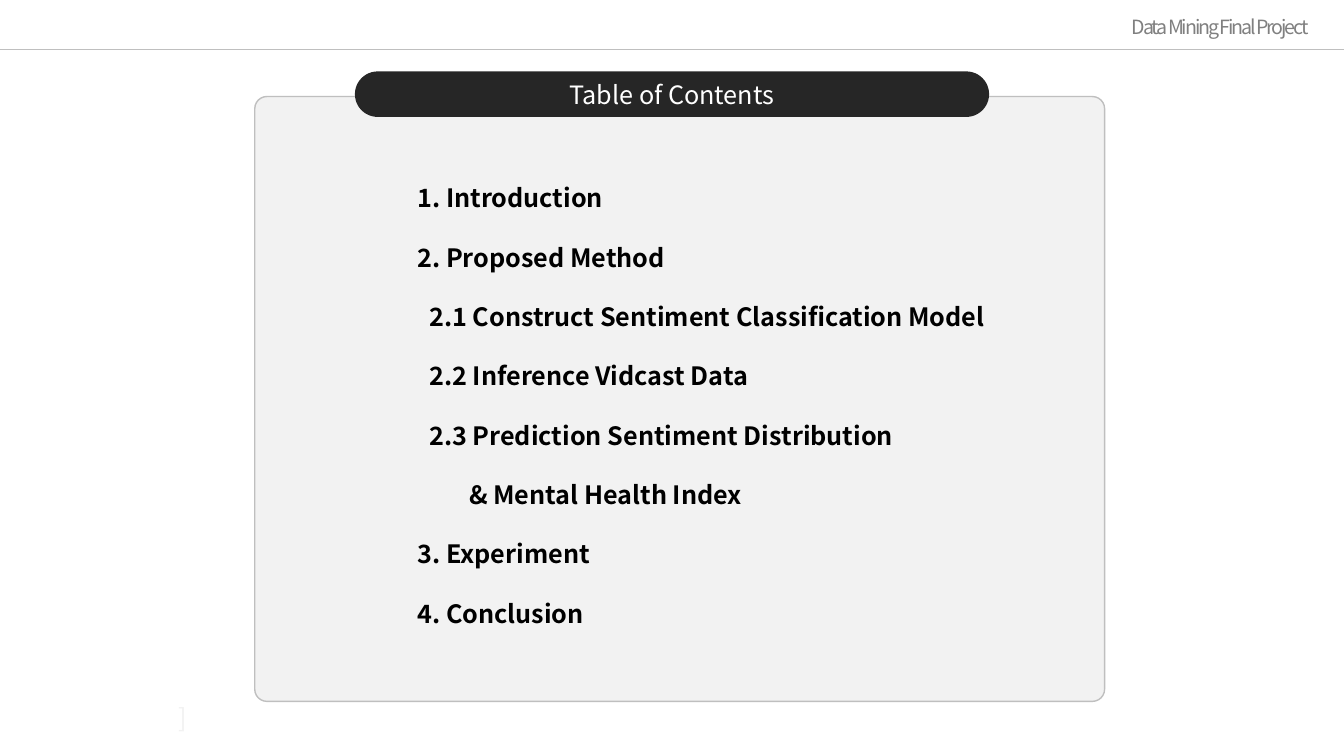
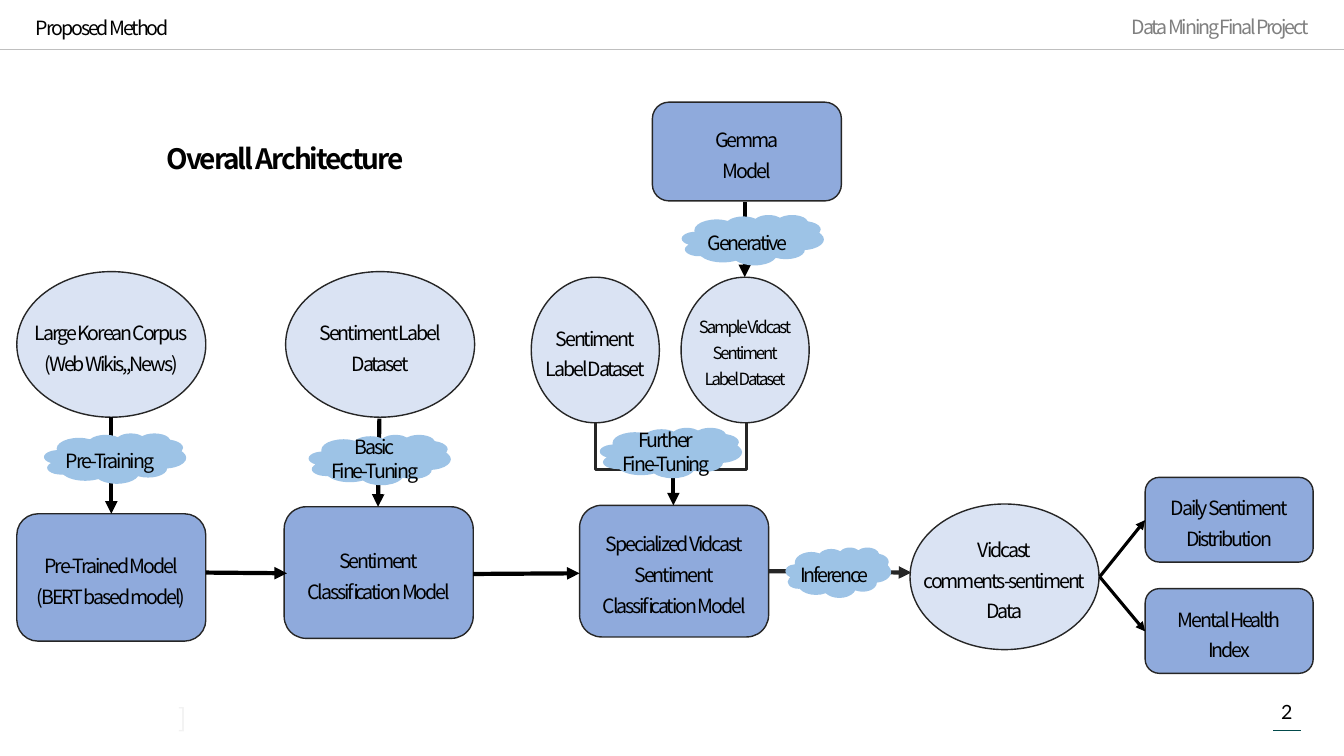
"""Build a contents slide and an architecture diagram slide."""
from lxml import etree
from pptx import Presentation
from pptx.dml.color import RGBColor
from pptx.enum import shapes, text
from pptx.oxml import ns
from pptx.util import Pt

HUES = {
    "ink": "000000", "dark": "262626", "grey": "808080", "rule": "BFBFBF",
    "pale": "F2F2F2", "white": "FFFFFF", "teal": "024A4B",
    "data": "DAE3F3", "model": "8FAADC", "step": "9DC3E6",
}
FACE = "Noto Sans CJK KR"
TIGHT = -1.5
WIDE, HIGH = 960, 540
KIND = shapes.MSO_SHAPE
LINK = shapes.MSO_CONNECTOR
LEFT, MID, RIGHT, FULL = (text.PP_ALIGN.LEFT, text.PP_ALIGN.CENTER,
                          text.PP_ALIGN.RIGHT, text.PP_ALIGN.JUSTIFY)
TOP, CORE, BASE = (text.MSO_ANCHOR.TOP, text.MSO_ANCHOR.MIDDLE,
                   text.MSO_ANCHOR.BOTTOM)

COURSE = "Data Mining Final Project"
TOPICS = [
    ("1. Introduction", 0),
    ("2. Proposed Method", 0),
    ("2.1 Construct Sentiment Classification Model", 8.5),
    ("2.2 Inference Vidcast Data", 8.5),
    ("2.3 Prediction Sentiment Distribution", 8.5),
    ("& Mental Health Index", 37),
    ("3. Experiment", 0),
    ("4. Conclusion", 0),
]
DATA = [
    ((12, 194, 135, 104), ["Large Korean Corpus", "(Web Wikis,,News)"], 14),
    ((204, 194, 135, 104), ["Sentiment Label", "Dataset"], 14),
    ((379.5, 198, 91.5, 104), ["Sentiment", "Label Dataset"], 14),
    ((486.5, 198, 91.5, 104),
     ["Sample Vidcast", "Sentiment", "Label Dataset"], 12),
    ((650, 360, 135, 104), ["Vidcast", "comments-sentiment", "Data"], 14),
]
MODELS = [
    ((12, 367, 135, 91), ["Pre-Trained Model", "(BERT based model)"]),
    ((203, 362, 135, 94), ["Sentiment", "Classification Model"]),
    ((414, 361, 135, 94),
     ["Specialized Vidcast", "Sentiment", "Classification Model"]),
    ((466, 73, 135, 70.5), ["Gemma", "Model"]),
    ((818, 341, 120, 60.5), ["Daily Sentiment", "Distribution"]),
    ((818, 420.5, 120, 60.5), ["Mental Health", "Index"]),
]
STEPS = [
    ((31.5, 309.5, 101.5, 36), ["Pre-Training"]),
    ((220.5, 310.5, 101.5, 36), ["Basic", "Fine-Tuning"]),
    ((428.5, 305.5, 101.5, 36), ["Further", "Fine-Tuning"]),
    ((487, 153.5, 101.5, 36), ["Generative"]),
    ((561, 391, 75.5, 36), ["Inference"]),
]
ARROWS = [
    ((79.5, 298, 79.5, 367), "ink", 3),
    ((147, 409, 205, 409.5), "ink", 3),
    ((271, 299, 270, 362), "ink", 3),
    ((338, 410, 414, 409.5), "ink", 3),
    ((481, 334, 481, 361), "ink", 3),
    ((532, 144.5, 532, 198), "ink", 3),
    ((549, 408, 651, 409), "dark", 3),
    ((785.5, 412, 818, 371.5), "ink", 2.25),
    ((785.5, 412, 818, 451), "ink", 2.25),
]
FORK = (425.5, 533, 302, 34)


def tint(name):
    return RGBColor.from_string(HUES[name])


def apply(thing, vals):
    for key, val in vals.items():
        setattr(thing, key, val)


def write(shape, lines, hue="ink", size=14, align=LEFT, anchor=CORE, lead=1.3,
          bold=False, spc=TIGHT, wrap=True, pad=None, gap=0, face=FACE):
    """Fill a shape with (words, indent) lines or plain lines."""
    frame = shape.text_frame
    apply(frame, {"word_wrap": wrap, "vertical_anchor": anchor})
    if pad is not None:
        apply(frame, dict.fromkeys(("margin_left", "margin_right",
                                    "margin_top", "margin_bottom"), Pt(pad)))
    for i, line in enumerate(lines):
        words, dent = line if isinstance(line, tuple) else (line, 0)
        para = frame.add_paragraph() if i else frame.paragraphs[0]
        if dent:
            para._p.get_or_add_pPr().set("marL", str(Pt(dent)))
        apply(para, {"alignment": align, "line_spacing": lead,
                     "space_before": Pt(gap if i else 0)})
        run = para.add_run()
        run.text = words
        apply(run.font, {"name": face, "size": Pt(size), "bold": bold})
        run.font.color.rgb = tint(hue)
        if spc:
            run._r.get_or_add_rPr().set("spc", str(int(spc * 100)))
    return shape


def label(slide, spot, lines, **look):
    return write(slide.shapes.add_textbox(*map(Pt, spot)), lines, **look)


def block(slide, kind, spot, fill, edge=None, bend=None):
    shape = slide.shapes.add_shape(kind, *map(Pt, spot))
    shape.shadow.inherit = False
    shape.fill.solid()
    shape.fill.fore_color.rgb = tint(fill)
    if edge:
        shape.line.color.rgb = tint(edge)
        shape.line.width = Pt(1)
    else:
        shape.line.fill.background()
    if bend is not None:
        shape.adjustments[0] = bend
    return shape


def rule(slide, ends, hue, width, head=False, kind=LINK.STRAIGHT):
    line = slide.shapes.add_connector(kind, *map(Pt, ends))
    line.line.color.rgb = tint(hue)
    line.line.width = Pt(width)
    if head:
        etree.SubElement(line.line._get_or_add_ln(), ns.qn("a:tailEnd"),
                         type="triangle")
    etree.SubElement(line._element.spPr, ns.qn("a:effectLst"))
    return line


def fork(slide, left, right, top, drop):
    """Draw an elbow line that joins two points from below."""
    mid, half = (left + right) / 2, (right - left) / 2
    ends = (mid - 0.5, top - half, mid + 0.5, top + half)
    props = rule(slide, ends, "dark", 2.25, kind=LINK.ELBOW)._element.spPr
    apply(props.xfrm, {"rot": 270, "flipH": True})
    geom = props.find(ns.qn("a:prstGeom"))
    etree.SubElement(geom.get_or_add_avLst(), ns.qn("a:gd"), name="adj1",
                     fmla=f"val {drop * 100000}")


def header(slide):
    label(slide, (528, 3, 414, 28), [COURSE], hue="grey", align=RIGHT,
          anchor=BASE)
    rule(slide, (0, 35.5, WIDE, 35.5), "rule", 1)


def footer(slide):
    mark = block(slide, KIND.RECTANGLE, (26, 502, 209, 21), "white")
    write(mark, ["]"], hue="pale", size=18, align=MID, lead=1, spc=0)


def number(slide):
    rule(slide, (909.5, 521.5, 929, 521.5), "teal", 0.5)
    box = label(slide, (908, 489, 27, 33), ["2"], face="Lato")
    field = box.text_frame.paragraphs[0].runs[0]._r
    field.tag = ns.qn("a:fld")
    field.set("id", "{B6F15528-21DE-4FAA-801E-634DDDAF4B2B}")
    field.set("type", "slidenum")


def contents(slide):
    header(slide)
    block(slide, KIND.ROUNDED_RECTANGLE, (182, 69, 607, 432), "pale", "rule",
          0.02)
    pill = block(slide, KIND.ROUNDED_RECTANGLE, (253.5, 51, 453, 32.5), "dark",
                 bend=0.5)
    write(pill, ["Table of Contents"], hue="white", size=18, align=MID, lead=1,
          spc=0)
    footer(slide)
    label(slide, (291, 116, 433, 356), TOPICS, size=18, align=FULL, anchor=TOP,
          lead=1.5, bold=True, spc=0, gap=10)


def method(slide):
    header(slide)
    footer(slide)
    number(slide)
    label(slide, (18.5, -7, 399, 49), ["Proposed Method"])
    label(slide, (112, 85, 246, 49), ["Overall Architecture"], size=20,
          bold=True)
    look = {"align": MID, "wrap": False, "pad": 0}
    for spot, lines, size in DATA:
        write(block(slide, KIND.OVAL, spot, "data", "dark"), lines, size=size,
              **look)
    for spot, lines in MODELS:
        write(block(slide, KIND.ROUNDED_RECTANGLE, spot, "model", "dark"),
              lines, **look)
    fork(slide, *FORK)
    for ends, hue, width in ARROWS:
        rule(slide, ends, hue, width, head=True)
    for spot, lines in STEPS:
        write(block(slide, KIND.CLOUD, spot, "step"), lines,
              lead=1 if len(lines) > 1 else 1.3, **look)


def main():
    deck = Presentation()
    apply(deck, {"slide_width": Pt(WIDE), "slide_height": Pt(HIGH)})
    for build in (contents, method):
        build(deck.slides.add_slide(deck.slide_layouts[6]))
    deck.save("out.pptx")


if __name__ == "__main__":
    main()
